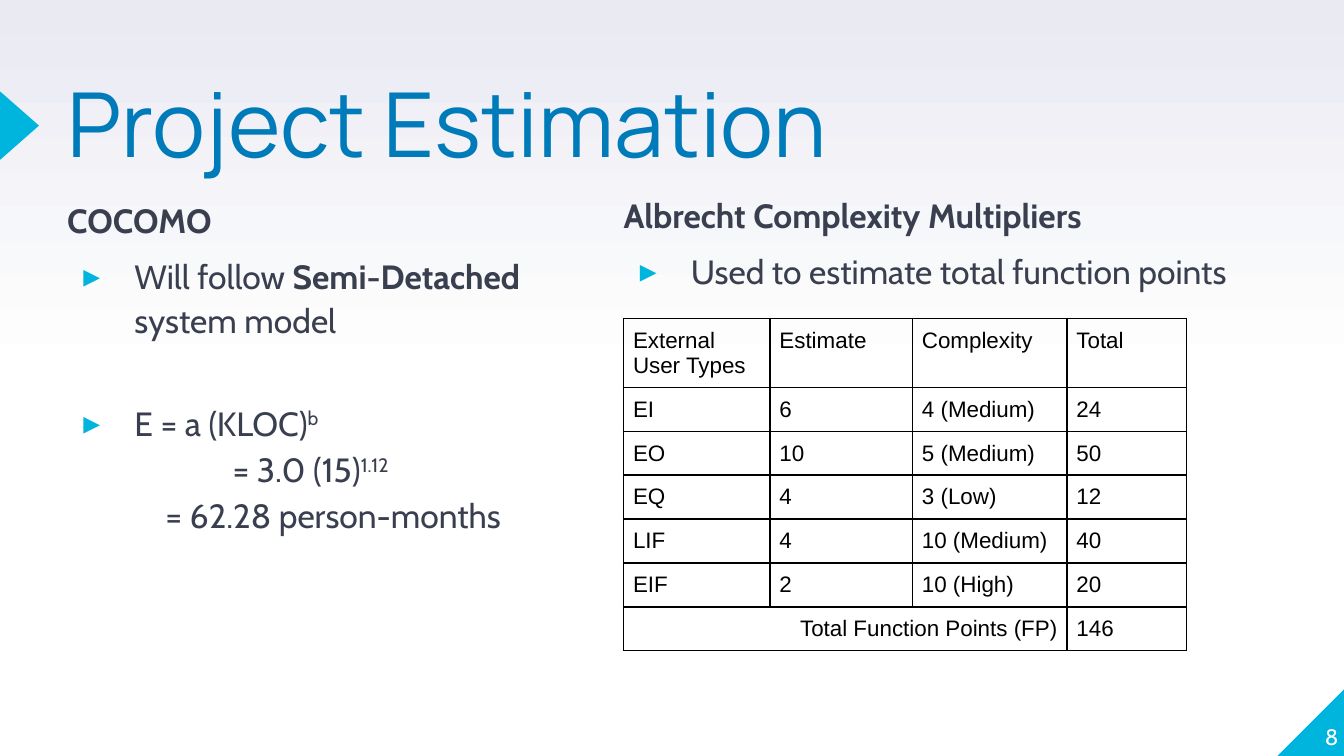
from pptx import Presentation
from pptx.dml.color import RGBColor as Rgb
from pptx.enum.shapes import MSO_SHAPE as Kind
from pptx.enum.text import MSO_ANCHOR as Anchor, MSO_AUTO_SIZE as Fit, PP_ALIGN as Align
from pptx.oxml.ns import qn
from pptx.util import Inches, Pt
from lxml.etree import SubElement as Sub

THEME = {
    "head": ("Manrope", 48, "007BB9"),
    "body": ("Cabin", 18, "3A3F50"),
    "cell": ("Arial", 12, "000000"),
    "page": ("Cabin", 12, "FFFFFF"),
    "mark": "00B5DD",
    "top": "E9EAF2",
    "base": "FFFFFF",
    "rule": "000000",
}

TITLE = "Project Estimation"
PAGE = "8"

LEFT = [
    ([("COCOMO", "bold")], 0, False, 1.1, 0),
    ([("Will follow ", ""), ("Semi-Detached", "bold"), (" system model", "")], 0.5, True, 1.1, 6),
    ([("E = a (KLOC)", ""), ("b", "sup")], 0.5, True, 1.15, 30),
    ([("= 3.0 (15)", ""), ("1.12", "sup")], 1.23, False, 1.15, 0),
    ([("= 62.28 person-months", "")], 0.73, False, 1.15, 0),
]
RIGHT = [
    ([("Albrecht Complexity Multipliers", "bold")], 0, False, 1.1, 0),
    ([("Used to estimate total function points", "")], 0.5, True, 1.1, 6),
]
ROWS = [
    ("External User Types", "Estimate", "Complexity", "Total"),
    ("EI", "6", "4 (Medium)", "24"),
    ("EO", "10", "5 (Medium)", "50"),
    ("EQ", "4", "3 (Low)", "12"),
    ("LIF", "4", "10 (Medium)", "40"),
    ("EIF", "2", "10 (High)", "20"),
    ("Total Function Points (FP)", "", "", "146"),
]
WIDE = 10
COLS = [1.09, 1.06, 1.15, 0.89]
HEAD, ROW = 0.51, 0.32
PAD = 0.07


def place(shape, box):
    shape.left, shape.top, shape.width, shape.height = map(Inches, box)


def frame(shape, anchor=Anchor.TOP):
    text = shape.text_frame
    text.margin_left = text.margin_right = text.margin_top = text.margin_bottom = 0
    text.word_wrap = True
    text.auto_size = Fit.NONE
    text.vertical_anchor = anchor
    return text


def write(para, text, look, style=""):
    run = para.add_run()
    run.text = text
    name, size, color = THEME[look]
    run.font.name, run.font.size = name, Pt(size)
    run.font.color.rgb = Rgb.from_string(color)
    run.font.bold = style == "bold"
    if style == "sup":
        run.font._element.set("baseline", "30000")


def bullet(para, indent, mark):
    props = para._p.get_or_add_pPr()
    props.set("marL", str(Inches(indent)))
    props.set("indent", str(Inches(-0.38) if mark else 0))
    if mark:
        color = Sub(props, qn("a:buClr"))
        Sub(color, qn("a:srgbClr"), val=THEME["mark"])
        Sub(props, qn("a:buChar"), char="▸")
    else:
        Sub(props, qn("a:buNone"))


def fill_list(shape, box, lines):
    place(shape, box)
    text = frame(shape)
    for i, (runs, indent, mark, line, before) in enumerate(lines):
        para = text.add_paragraph() if i else text.paragraphs[0]
        bullet(para, indent, mark)
        para.line_spacing = line
        para.space_before = Pt(before)
        for words, style in runs:
            write(para, words, "body", style)


def corner(slide, kind, box, turn):
    shape = slide.shapes.add_shape(kind, *map(Inches, box))
    shape.rotation = turn
    shape.shadow.inherit = False
    shape.fill.solid()
    shape.fill.fore_color.rgb = Rgb.from_string(THEME["mark"])
    shape.line.fill.background()


def border(cell):
    props = cell._tc.get_or_add_tcPr()
    for i, side in enumerate(("a:lnL", "a:lnR", "a:lnT", "a:lnB")):
        line = props.makeelement(qn(side), {"w": str(Pt(1))})
        fill = Sub(line, qn("a:solidFill"))
        Sub(fill, qn("a:srgbClr"), val=THEME["rule"])
        props.insert(i, line)


def add_grid(slide, left, top):
    high = [HEAD] + [ROW] * (len(ROWS) - 1)
    size = (left, top, sum(COLS), sum(high))
    table = slide.shapes.add_table(len(ROWS), len(COLS), *map(Inches, size)).table
    table.first_row = table.horz_banding = False
    for col, wide in zip(table.columns, COLS):
        col.width = Inches(wide)
    for row, tall in zip(table.rows, high):
        row.height = Inches(tall)
    last = len(ROWS) - 1
    table.cell(last, 0).merge(table.cell(last, 2))
    for r, row in enumerate(ROWS):
        for c, words in enumerate(row):
            cell = table.cell(r, c)
            cell.fill.background()
            border(cell)
            cell.margin_left = cell.margin_right = Inches(PAD)
            cell.margin_top = cell.margin_bottom = Inches(PAD)
            if words:
                write(cell.text_frame.paragraphs[0], words, "cell")
    table.cell(last, 0).text_frame.paragraphs[0].alignment = Align.RIGHT


def main():
    deck = Presentation()
    deck.slide_width, deck.slide_height = Inches(WIDE), Inches(WIDE * 9 / 16)
    slide = deck.slides.add_slide(deck.slide_layouts[3])

    back = slide.background.fill
    back.gradient()
    back.gradient_angle = 90
    for stop, spot, color in zip(back.gradient_stops, (0.5, 1), ("base", "top")):
        stop.position = spot
        stop.color.rgb = Rgb.from_string(THEME[color])

    corner(slide, Kind.RIGHT_TRIANGLE, (9.5, 5.12, 0.51, 0.51), 270)
    corner(slide, Kind.ISOSCELES_TRIANGLE, (-0.11, 0.79, 0.51, 0.29), 90)

    title = slide.shapes.title
    place(title, (0.5, 0.66, 6.17, 0.75))
    para = frame(title).paragraphs[0]
    para.alignment = Align.LEFT
    para.line_spacing = 0.8
    write(para, TITLE, "head")

    fill_list(slide.placeholders[1], (0.5, 1.46, 3.89, 3.66), LEFT)
    fill_list(slide.placeholders[2], (4.64, 1.42, 5.05, 0.89), RIGHT)
    add_grid(slide, 4.64, 2.37)

    page = slide.shapes.add_textbox(*map(Inches, (9.46, 5.07, 0.5, 0.51)))
    para = frame(page, Anchor.BOTTOM).paragraphs[0]
    para.alignment = Align.RIGHT
    write(para, PAGE, "page")
    deck.save("out.pptx")


if __name__ == "__main__":
    main()
